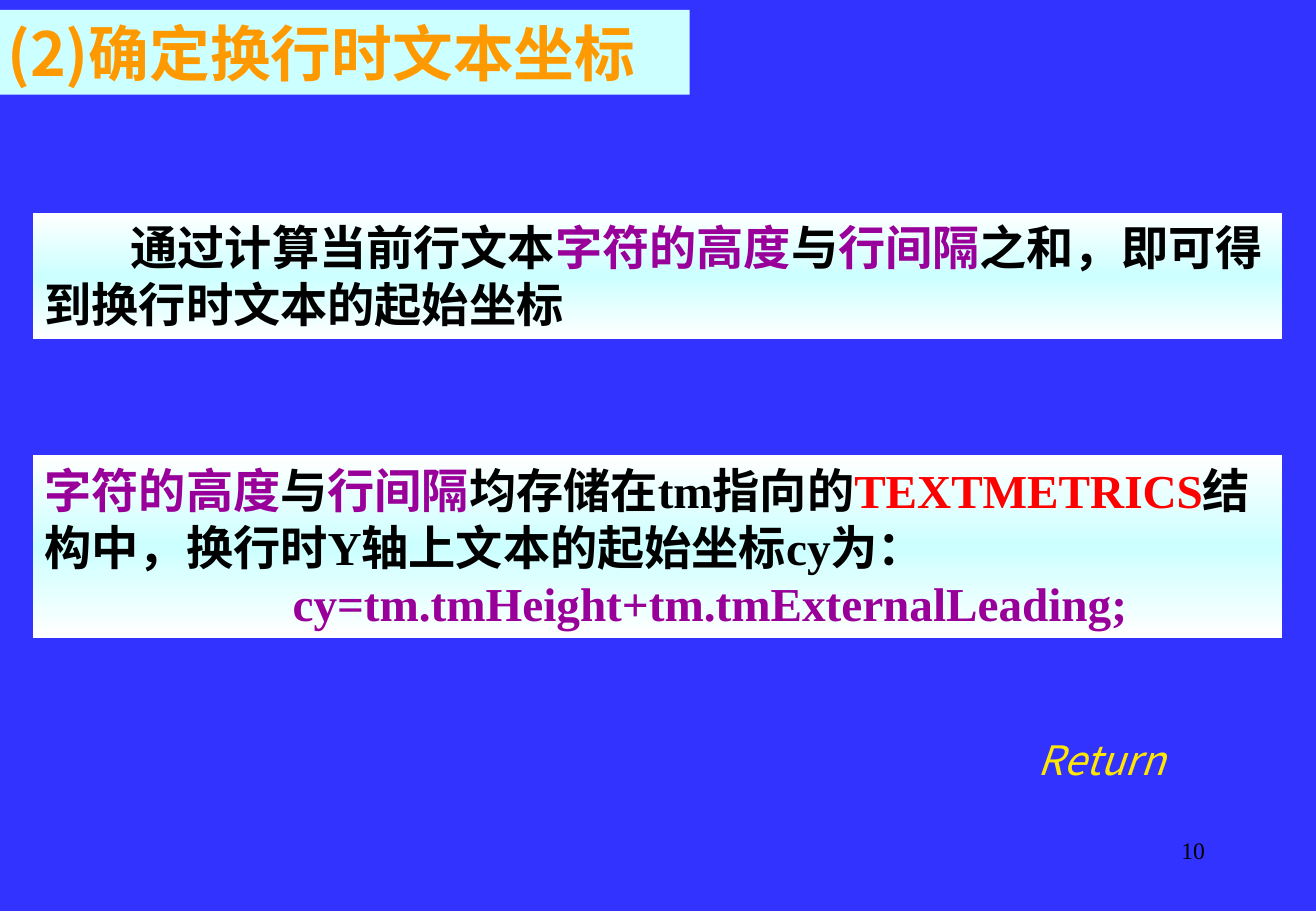
"""Build the slide on the text coordinates after a line break."""
from copy import deepcopy
from dataclasses import dataclass

from pptx import Presentation
from pptx.dml.color import RGBColor
from pptx.enum.shapes import MSO_SHAPE
from pptx.enum.text import MSO_ANCHOR, PP_ALIGN
from pptx.oxml.ns import qn
from pptx.slide import Slide
from pptx.util import Pt

RECTANGLE = MSO_SHAPE.RECTANGLE
TOP = MSO_ANCHOR.TOP
LEFT, CENTER, RIGHT = PP_ALIGN.LEFT, PP_ALIGN.CENTER, PP_ALIGN.RIGHT


@dataclass(frozen=True)
class Theme:
    background: str = "3333FF"
    panel: str = "CCFFFF"
    panel_edge: str = "FFFFFF"
    title: str = "FF9900"
    text: str = "000000"
    term: str = "990099"
    struct: str = "FF0000"
    link: str = "FFE701"
    title_size: float = 36
    body_size: float = 28
    link_size: float = 24
    number_size: float = 14
    line_ratio: float = 1.2
    serif: str = "Times New Roman"
    sans: str = "Noto Sans CJK SC"


THEME = Theme()


@dataclass(frozen=True)
class Span:
    text: str
    color: str = THEME.text


@dataclass(frozen=True)
class Para:
    spans: tuple[Span, ...]
    margin: float = 0
    indent: float = 0
    align: PP_ALIGN = LEFT


@dataclass(frozen=True)
class Box:
    left: float
    top: float
    width: float
    height: float
    paras: tuple[Para, ...]
    size: float = THEME.body_size
    font: str = THEME.serif
    bold: bool = True
    italic: bool = False
    fill: tuple[str, ...] = ()


HEIGHT_TERM = Span("字符的高度", THEME.term)
SPACING_TERM = Span("行间隔", THEME.term)
AND = Span("与")
PANEL_FILL = (THEME.panel_edge, THEME.panel, THEME.panel_edge)

BOXES = (
    Box(558.7, 491.8, 162.7, 36, (Para((Span("10"),), align=RIGHT),),
        size=THEME.number_size, bold=False),
    Box(-2.9, 5.8, 411.8, 50.4,
        (Para((Span("(2)确定换行时文本坐标", THEME.title),)),),
        size=THEME.title_size, font=THEME.sans, fill=(THEME.panel,)),
    Box(19.4, 270, 740.9, 108, (
        Para((HEIGHT_TERM, AND, SPACING_TERM, Span("均存储在tm指向的"),
              Span("TEXTMETRICS", THEME.struct),
              Span("结构中，换行时Y轴上文本的起始坐标cy为："))),
        Para((Span("cy=tm.tmHeight+tm.tmExternalLeading;", THEME.term),),
             margin=147),
    ), fill=PANEL_FILL),
    Box(558.7, 432, 188.6, 85,
        (Para((Span("Return", THEME.link),), align=CENTER),),
        size=THEME.link_size, font=THEME.sans, bold=False, italic=True),
    Box(19.4, 126, 740.9, 74.9, (
        Para((Span("通过计算当前行文本"), HEIGHT_TERM, AND, SPACING_TERM,
              Span("之和，即可得到换行时文本的起始坐标")), indent=51),
    ), fill=PANEL_FILL),
)


def paint(sp, colors: tuple[str, ...]) -> None:
    """Fill a shape with one colour or an even vertical gradient."""
    if len(colors) == 1:
        sp.fill.solid()
        sp.fill.fore_color.rgb = RGBColor.from_string(colors[0])
        return
    sp.fill.gradient()
    sp.fill.gradient_angle = 270
    stop = sp._element.spPr.find(".//" + qn("a:gs"))
    for _ in colors[2:]:
        stop.addnext(deepcopy(stop))
    for i, (gs, color) in enumerate(zip(sp.fill.gradient_stops, colors)):
        gs.position = i / (len(colors) - 1)
        gs.color.rgb = RGBColor.from_string(color)


def add_span(p, span: Span, box: Box) -> None:
    """Add one run with its font and colour."""
    r = p.add_run()
    r.text = span.text
    r.font.size = Pt(box.size)
    r.font.bold = box.bold
    r.font.italic = box.italic
    r.font.color.rgb = RGBColor.from_string(span.color)
    r.font.name = box.font
    rPr = r._r.get_or_add_rPr()
    rPr.append(rPr.makeelement(qn("a:ea"), {"typeface": THEME.sans}))


def add_box(slide: Slide, box: Box) -> None:
    """Draw a text box or a filled panel with its paragraphs."""
    frame = (Pt(box.left), Pt(box.top), Pt(box.width), Pt(box.height))
    if box.fill:
        sp = slide.shapes.add_shape(RECTANGLE, *frame)
        sp.shadow.inherit = False
        sp.line.fill.background()
        paint(sp, box.fill)
    else:
        sp = slide.shapes.add_textbox(*frame)
    tf = sp.text_frame
    tf.word_wrap = True
    tf.vertical_anchor = TOP
    tf.margin_left = tf.margin_right = Pt(7.2)
    tf.margin_top = tf.margin_bottom = Pt(3.6)
    for i, para in enumerate(box.paras):
        p = tf.add_paragraph() if i else tf.paragraphs[0]
        p.alignment = para.align
        p.line_spacing = Pt(box.size * THEME.line_ratio)
        pPr = p._p.get_or_add_pPr()
        pPr.set("marL", str(Pt(para.margin)))
        pPr.set("indent", str(Pt(para.indent)))
        for span in para.spans:
            add_span(p, span, box)


def main() -> None:
    """Create the presentation and save it."""
    prs = Presentation()
    prs.slide_width, prs.slide_height = Pt(780.13), Pt(540)
    slide = prs.slides.add_slide(prs.slide_layouts[6])
    slide.background.fill.solid()
    slide.background.fill.fore_color.rgb = RGBColor.from_string(THEME.background)
    for box in BOXES:
        add_box(slide, box)
    prs.save("out.pptx")


if __name__ == "__main__":
    main()
